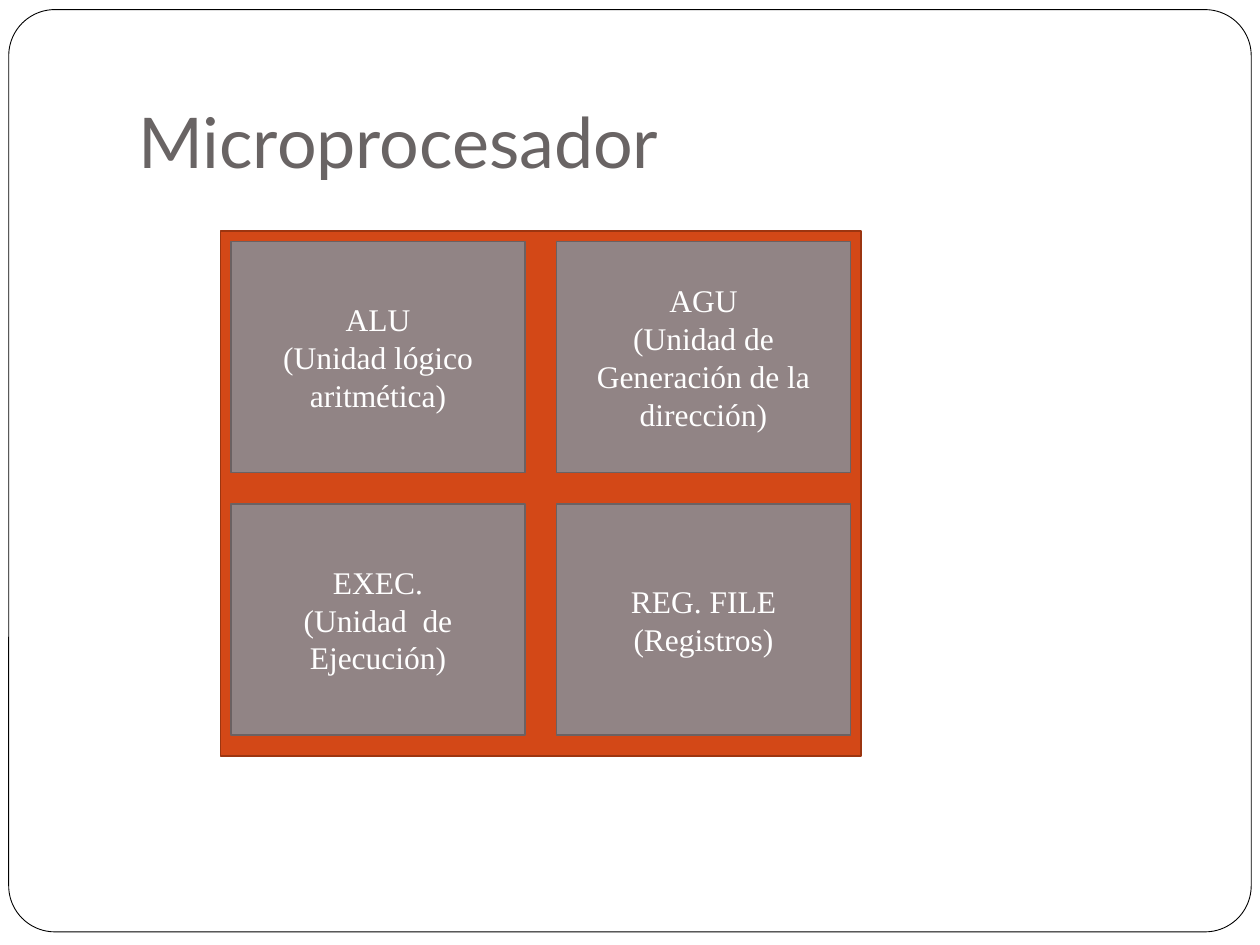
"""Build a slide showing the four units of a microprocessor."""
from dataclasses import dataclass

import pptx
import pptx.dml.color
import pptx.enum.shapes
import pptx.enum.text
import pptx.shapes.autoshape
import pptx.slide
import pptx.util

Pt = pptx.util.Pt
SHAPES = pptx.enum.shapes.MSO_SHAPE
ALIGN = pptx.enum.text.PP_ALIGN
ANCHOR = pptx.enum.text.MSO_ANCHOR


@dataclass(frozen=True)
class Theme:
    paper: str = "FFFFFF"
    border: str = "000000"
    title: str = "696464"
    chip: str = "D34817"
    chip_edge: str = "9C3510"
    unit: str = "918485"
    unit_edge: str = "6B6162"
    unit_text: str = "FFFFFF"
    title_font: str = "Lato"
    unit_font: str = "Times New Roman"
    title_size: float = 40
    unit_size: float = 18


@dataclass(frozen=True)
class Box:
    left: float
    top: float
    width: float
    height: float

    def lengths(self) -> tuple[pptx.util.Length, ...]:
        return Pt(self.left), Pt(self.top), Pt(self.width), Pt(self.height)


@dataclass(frozen=True)
class Unit:
    name: str
    meaning: str
    column: int
    row: int


THEME = Theme()
FIRST_UNIT = Box(132, 138, 168, 132)
COLUMN_PITCH = 186
ROW_PITCH = 150
UNITS = (
    Unit("ALU", "(Unidad lógico aritmética)", 0, 0),
    Unit("AGU", "(Unidad de Generación de la dirección)", 1, 0),
    Unit("EXEC.", "(Unidad  de Ejecución)", 0, 1),
    Unit("REG. FILE", "(Registros)", 1, 1),
)


def rgb(code: str) -> pptx.dml.color.RGBColor:
    return pptx.dml.color.RGBColor.from_string(code)


def add_panel(
    slide: pptx.slide.Slide,
    box: Box,
    fill: str,
    edge: str,
    edge_width: float = 1,
    outline: SHAPES = SHAPES.RECTANGLE,
) -> pptx.shapes.autoshape.Shape:
    panel = slide.shapes.add_shape(outline, *box.lengths())
    panel.shadow.inherit = False
    panel.fill.solid()
    panel.fill.fore_color.rgb = rgb(fill)
    panel.line.color.rgb = rgb(edge)
    panel.line.width = Pt(edge_width)
    return panel


def add_lines(
    holder: pptx.shapes.autoshape.Shape,
    lines: tuple[str, ...],
    font: str,
    size: float,
    color: str,
    align: ALIGN,
    anchor: ANCHOR,
    bottom_inset: float = 3.6,
) -> None:
    frame = holder.text_frame
    frame.word_wrap = True
    frame.vertical_anchor = anchor
    frame.margin_bottom = Pt(bottom_inset)
    for index, line in enumerate(lines):
        paragraph = frame.add_paragraph() if index else frame.paragraphs[0]
        paragraph.alignment = align
        run = paragraph.add_run()
        run.text = line
        run.font.name = font
        run.font.size = Pt(size)
        run.font.color.rgb = rgb(color)


def add_unit(slide: pptx.slide.Slide, unit: Unit) -> None:
    box = Box(
        FIRST_UNIT.left + unit.column * COLUMN_PITCH,
        FIRST_UNIT.top + unit.row * ROW_PITCH,
        FIRST_UNIT.width,
        FIRST_UNIT.height,
    )
    panel = add_panel(slide, box, THEME.unit, THEME.unit_edge)
    add_lines(panel, (unit.name, unit.meaning), THEME.unit_font, THEME.unit_size,
              THEME.unit_text, ALIGN.CENTER, ANCHOR.MIDDLE)


def main() -> None:
    deck = pptx.Presentation()
    deck.slide_width, deck.slide_height = Pt(720), Pt(540)
    slide = deck.slides.add_slide(deck.slide_layouts[6])

    border = add_panel(slide, Box(5, 5.5, 710, 527), THEME.paper, THEME.border,
                       0.5, SHAPES.ROUNDED_RECTANGLE)
    border.adjustments[0] = 0.05

    title = slide.shapes.add_textbox(*Box(72, 21.6, 612, 90).lengths())
    add_lines(title, ("Microprocesador",), THEME.title_font, THEME.title_size,
              THEME.title, ALIGN.LEFT, ANCHOR.BOTTOM, 7.2)

    add_panel(slide, Box(126, 132, 366, 300), THEME.chip, THEME.chip_edge)
    for unit in UNITS:
        add_unit(slide, unit)

    deck.save("out.pptx")


if __name__ == "__main__":
    main()
